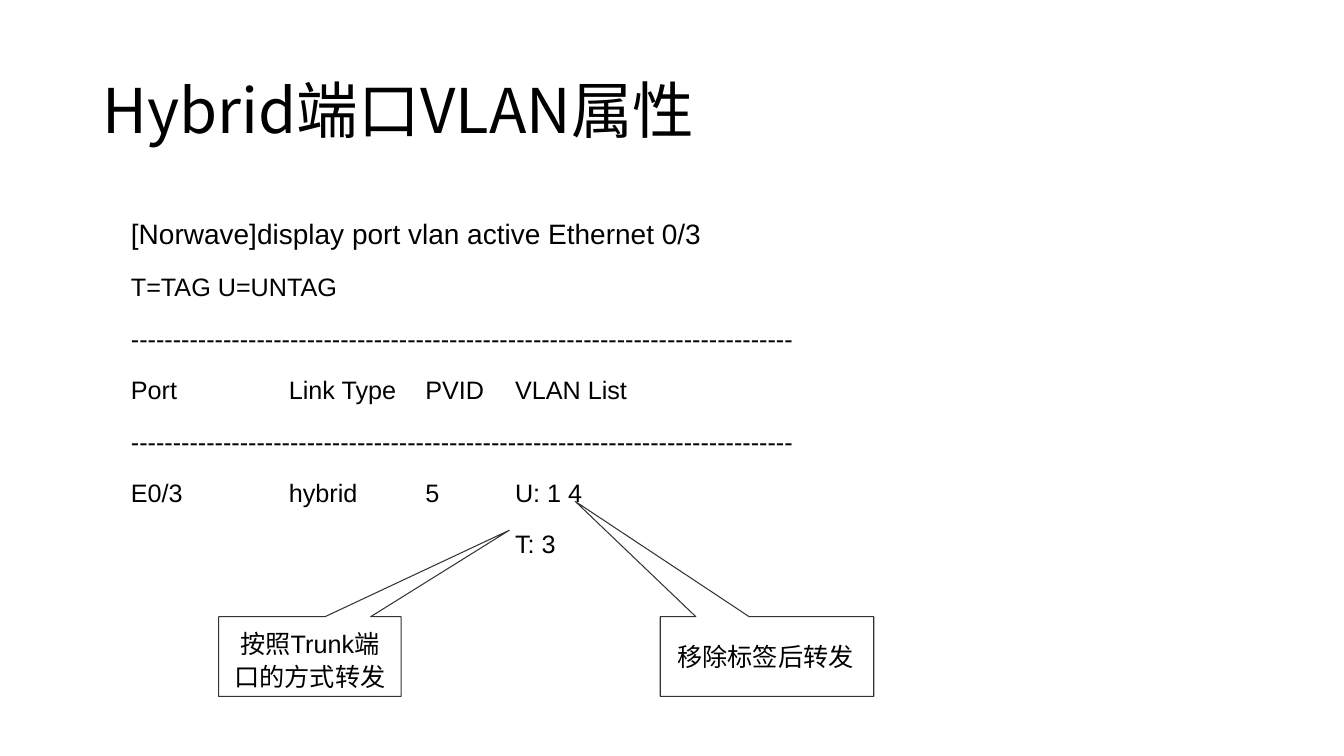
from dataclasses import dataclass

from lxml import etree
from pptx import Presentation
from pptx.dml.color import RGBColor
from pptx.enum.shapes import MSO_SHAPE
from pptx.enum.text import MSO_ANCHOR, PP_ALIGN
from pptx.oxml.ns import qn
from pptx.util import Cm, Pt

BLACK = RGBColor(0x00, 0x00, 0x00)
OUTLINE = RGBColor(0x33, 0x33, 0x33)
LATIN_FONT = "Arial"
CHINESE_FONT = "Noto Sans CJK SC"
COLUMN_STOPS = (3.98, 7.42, 9.68)
RULE = "-" * 79


@dataclass(frozen=True)
class Box:
    left: float
    top: float
    width: float
    height: float

    def lengths(self) -> tuple:
        return Cm(self.left), Cm(self.top), Cm(self.width), Cm(self.height)


@dataclass(frozen=True)
class Callout:
    text: str
    frame: Box
    label: Box
    pointer: tuple[float, float]
    wrap: bool


OUTPUT_BOX = Box(3.05, 4.75, 21.01, 9.55)
OUTPUT_LINES = (
    "[Norwave]display port vlan active Ethernet 0/3",
    "T=TAG U=UNTAG",
    RULE,
    "Port\tLink Type\tPVID\tVLAN List",
    RULE,
    "E0/3\thybrid\t5\tU: 1 4",
    "\t\t\tT: 3",
)
CALLOUTS = (
    Callout("按照Trunk端口的方式转发", Box(5.51, 15.54, 4.6, 2.01),
            Box(5.64, 15.62, 4.34, 1.96), (1.093, -1.584), True),
    Callout("移除标签后转发", Box(16.64, 15.54, 5.38, 2.01),
            Box(16.79, 15.95, 5.0, 1.04), (-0.898, -1.945), False),
)


def style_paragraph(paragraph, size: float, spacing: float, latin: str = LATIN_FONT) -> None:
    paragraph.line_spacing = spacing
    paragraph.font.size = Pt(size)
    paragraph.font.name = latin
    paragraph.font.color.rgb = BLACK
    for run in paragraph.runs:
        run.font.name = latin
        east_asian = etree.SubElement(run.font._element, qn("a:ea"))
        east_asian.set("typeface", CHINESE_FONT)


def add_tab_stops(paragraph) -> None:
    properties = paragraph._p.get_or_add_pPr()
    tab_list = etree.Element(qn("a:tabLst"))
    for stop in COLUMN_STOPS:
        etree.SubElement(tab_list, qn("a:tab"), pos=str(int(Cm(stop))), algn="l")
    properties.find(qn("a:defRPr")).addprevious(tab_list)


def set_title(slide, text: str) -> None:
    title = slide.shapes.title
    title.left, title.top, title.width, title.height = Box(2.33, 1.01, 29.21, 3.68).lengths()
    frame = title.text_frame
    frame.text = text
    frame.vertical_anchor = MSO_ANCHOR.MIDDLE
    paragraph = frame.paragraphs[0]
    paragraph.alignment = PP_ALIGN.LEFT
    style_paragraph(paragraph, 44, 0.9, CHINESE_FONT)


def add_output(slide) -> None:
    frame = slide.shapes.add_textbox(*OUTPUT_BOX.lengths()).text_frame
    frame.word_wrap = True
    frame.text = "\n".join(OUTPUT_LINES)
    for index, paragraph in enumerate(frame.paragraphs):
        style_paragraph(paragraph, 18 if index else 20, 1.7)
        if "\t" in OUTPUT_LINES[index]:
            add_tab_stops(paragraph)


def add_callout(slide, callout: Callout) -> None:
    group = slide.shapes.add_group_shape()
    shape = group.shapes.add_shape(MSO_SHAPE.RECTANGULAR_CALLOUT, *callout.frame.lengths())
    shape.adjustments[0], shape.adjustments[1] = callout.pointer
    shape.shadow.inherit = False
    shape.fill.background()
    shape.line.color.rgb = OUTLINE
    shape.line.width = Pt(0.75)

    frame = group.shapes.add_textbox(*callout.label.lengths()).text_frame
    frame.word_wrap = callout.wrap
    frame.text = callout.text
    paragraph = frame.paragraphs[0]
    paragraph.alignment = PP_ALIGN.CENTER
    style_paragraph(paragraph, 18, 1.1)


def main() -> None:
    presentation = Presentation()
    presentation.slide_width, presentation.slide_height = Cm(33.87), Cm(19.05)
    slide = presentation.slides.add_slide(presentation.slide_layouts.get_by_name("Title Only"))
    set_title(slide, "Hybrid端口VLAN属性")
    add_output(slide)
    for callout in CALLOUTS:
        add_callout(slide, callout)
    presentation.save("out.pptx")


if __name__ == "__main__":
    main()
